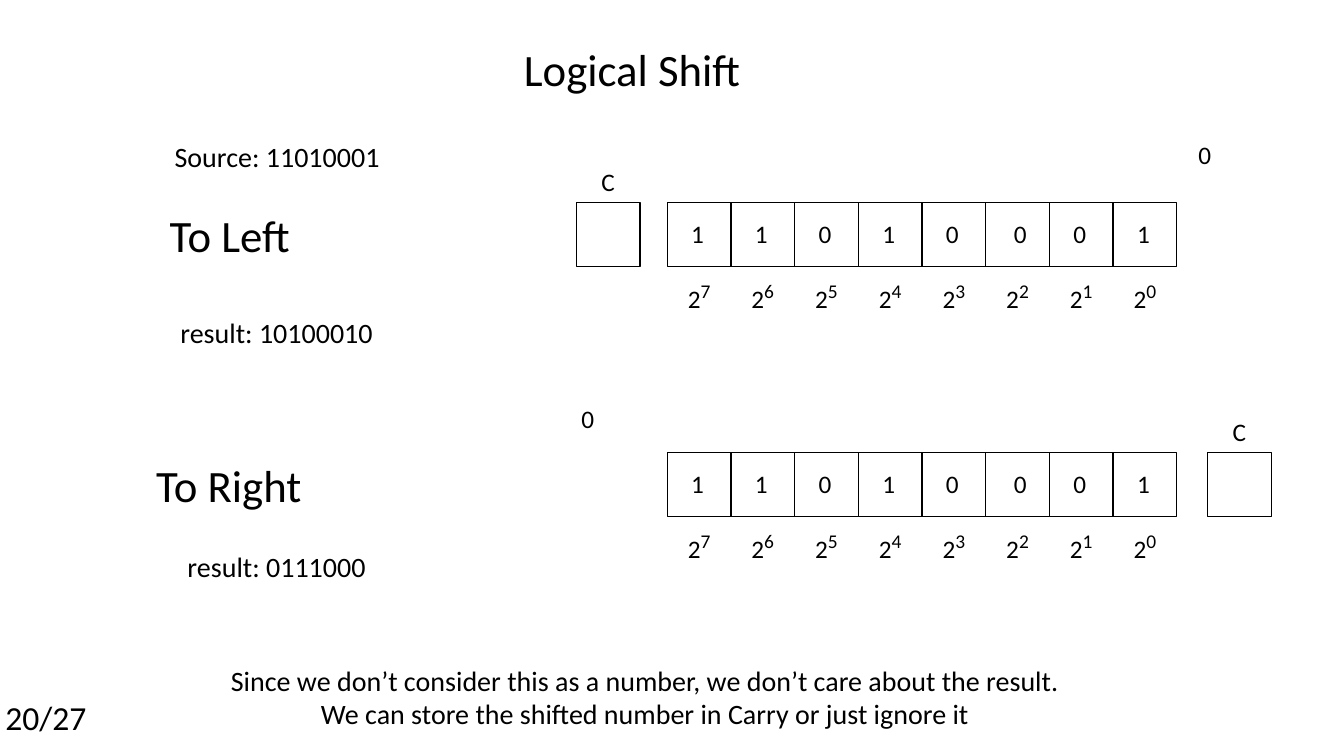
from pptx import Presentation
from pptx.dml.color import RGBColor
from pptx.enum.shapes import MSO_SHAPE as Shape
from pptx.enum.text import MSO_AUTO_SIZE as Fit, PP_ALIGN as Align
from pptx.util import Pt

BLACK = RGBColor(0, 0, 0)
WHITE = RGBColor(255, 255, 255)
CELL = 45.5
LEFT = 476.6
BITS = "11010001"


class Board:
    """Style and current slide."""

    font = "Calibri"

    def __init__(self, slide):
        self.shapes = slide.shapes

    def box(self, x, y):
        cell = self.shapes.add_shape(
            Shape.RECTANGLE, Pt(x), Pt(y), Pt(CELL), Pt(CELL))
        cell.shadow.inherit = False
        cell.fill.solid()
        cell.fill.fore_color.rgb = WHITE
        cell.line.color.rgb = BLACK
        cell.line.width = Pt(1)

    def run(self, para, words, size):
        run = para.add_run()
        run.text = words
        run.font.size = Pt(size)
        run.font.name = self.font
        run.font.color.rgb = BLACK
        return run

    def text(self, x, y, w, h, lines, size, align=Align.CENTER, wrap=False):
        frame = self.shapes.add_textbox(Pt(x), Pt(y), Pt(w), Pt(h)).text_frame
        frame.word_wrap = wrap
        frame.auto_size = Fit.SHAPE_TO_FIT_TEXT
        for i, words in enumerate(lines):
            para = frame.add_paragraph() if i else frame.paragraphs[0]
            para.alignment = align
            self.run(para, words, size)
        return frame

    def digit(self, x, y, bit):
        self.text(x, y, 25.2, 29, [bit], 18, Align.LEFT, True)

    def power(self, x, y, exp):
        frame = self.text(x, y, 31.7, 29, ["2"], 18, Align.LEFT)
        run = self.run(frame.paragraphs[0], str(exp), 24)
        run._r.get_or_add_rPr().set("baseline", "30000")

    def carry(self, x, y):
        self.box(x, y)
        self.text(x + 10.8, y - 29.5, 24.5, 29, ["C"], 18, Align.LEFT)

    def byte(self, y):
        for i, bit in enumerate(BITS):
            x = LEFT + i * CELL
            self.box(x, y)
            # The sixth digit sits a little to the right
            self.digit(x + (13 if i == 5 else 10), y + 8, bit)
            self.power(x + 7.6, y + 48, len(BITS) - 1 - i)


def main():
    deck = Presentation()
    deck.slide_width, deck.slide_height = Pt(960), Pt(540)
    board = Board(deck.slides.add_slide(deck.slide_layouts[6]))

    # Title and source value
    board.text(365.8, 26.6, 171.4, 46, ["Logical Shift"], 32)
    board.text(114.5, 95.8, 167, 55.4, ["Source: 11010001"], 20)

    # Shift to the left
    top = 144.7
    board.text(113, top, 102.2, 46, ["To Left"], 32)
    board.carry(411.8, top)
    board.byte(top)
    board.digit(848.9, 95.8, "0")
    board.text(73.4, 221.8, 248.4, 55.4, ["result: 10100010"], 20, wrap=True)

    # Shift to the right
    top = 323.3
    board.text(103.7, top, 119.5, 46, ["To Right"], 32)
    board.byte(top)
    board.carry(862.6, top)
    board.digit(408.2, 284.4, "0")
    board.text(73.4, 388.8, 248.4, 55.4, ["result: 0111000"], 20, wrap=True)

    # Closing remark and page number
    board.text(152.6, 470.2, 616.3, 55.4, [
        "Since we don’t consider this as a number, "
        "we don’t care about the result.",
        "We can store the shifted number in Carry or just ignore it",
    ], 20, wrap=True)
    board.text(-3.6, 494.6, 72.7, 36, ["20/27"], 24)

    deck.save("out.pptx")


if __name__ == "__main__":
    main()
